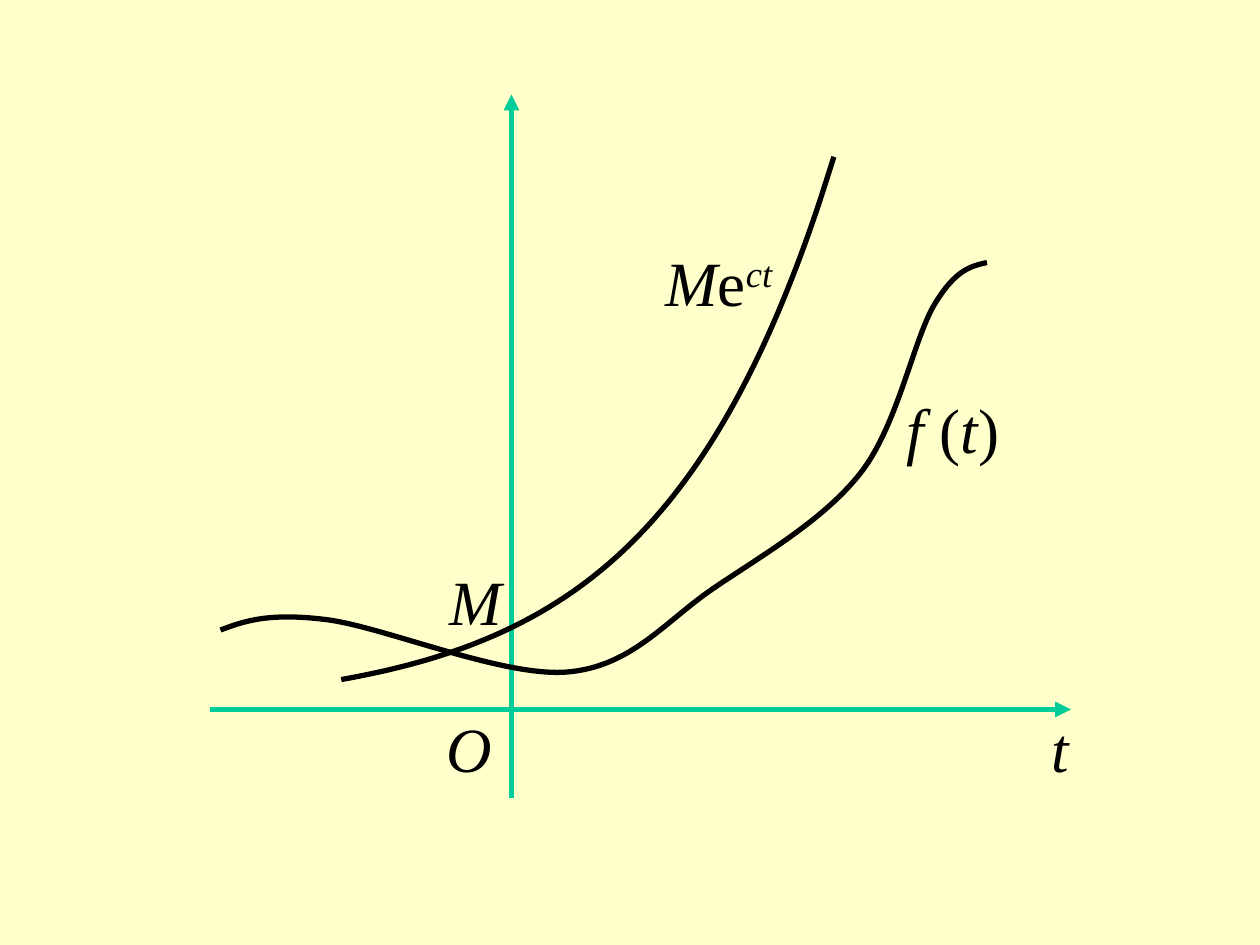
from math import exp

from lxml import etree
from pptx import Presentation, util as u
from pptx.dml.color import RGBColor
from pptx.enum import shapes, text
from pptx.oxml import ns

Pt = u.Pt


def paint(code):
    return RGBColor.from_string(code)


class Graph:
    """Draws axes, curves and labels on one slide in a shared style."""

    face, size, ink, green, paper, width = "Times New Roman", 36, "000000", "00CC99", "FFFFCC", 3

    def __init__(self, slide):
        self.slide = slide
        fill = slide.background.fill
        fill.solid()
        fill.fore_color.rgb = paint(self.paper)

    def stroke(self, line, color):
        line.color.rgb = paint(color)
        line.width = Pt(self.width)

    def axis(self, start, end):
        line = self.slide.shapes.add_connector(
            shapes.MSO_CONNECTOR.STRAIGHT, *map(Pt, start + end))
        self.stroke(line.line, self.green)
        props = line._element.spPr
        etree.SubElement(props.find(ns.qn("a:ln")), ns.qn("a:tailEnd"), type="triangle")
        etree.SubElement(props, ns.qn("a:effectLst"))

    def curve(self, knots):
        first, *rest = [(Pt(x), Pt(y)) for x, y in knots]
        pen = self.slide.shapes.build_freeform(*first, scale=1.0)
        pen.add_line_segments(rest, close=False)
        shape = pen.convert_to_shape()
        shape.shadow.inherit = False
        shape.fill.background()
        self.stroke(shape.line, self.ink)
        parts = list(shape._element.iter(ns.qn("a:lnTo")))
        for part, pair in zip(parts, handles(knots)):
            part.tag = ns.qn("a:cubicBezTo")
            for i, (x, y) in enumerate(pair):
                part.insert(i, etree.Element(
                    ns.qn("a:pt"), x=str(Pt(x) - shape.left), y=str(Pt(y) - shape.top)))

    def label(self, left, top, width, *parts):
        box = self.slide.shapes.add_textbox(Pt(left), Pt(top), Pt(width), Pt(50.4))
        frame = box.text_frame
        frame.word_wrap = False
        frame.auto_size = text.MSO_AUTO_SIZE.SHAPE_TO_FIT_TEXT
        line = frame.paragraphs[0]
        line.alignment = text.PP_ALIGN.CENTER
        font = line.font
        font.name, font.size = self.face, Pt(self.size)
        font.color.rgb = paint(self.ink)
        for words, slant, raised in parts:
            run = line.add_run()
            run.text = words
            run.font.italic = slant
            if raised:
                run._r.get_or_add_rPr().set("baseline", "30000")


def growth(left, right, origin, height, rate, count=29):
    """Place knots on an exponential that crosses the upright axis at the given height."""
    step = (right - left) / count
    spots = [left + i * step for i in range(count + 1)]
    return [(x, origin[1] - height * exp(rate * (x - origin[0]))) for x in spots]


def middle(a, b):
    return tuple((p + q) / 2 for p, q in zip(a, b))


def handles(knots):
    """Pair the control points of each piece, with slopes set by the neighbouring knots."""
    slopes = [tuple((q - p) / 6 for p, q in zip(a, b)) for a, b in zip(knots, knots[2:])]
    ahead = [tuple(p + q for p, q in zip(k, s)) for k, s in zip(knots[1:], slopes)]
    back = [tuple(p - q for p, q in zip(k, s)) for k, s in zip(knots[1:], slopes)]
    ahead.insert(0, middle(knots[0], back[0]))
    back.append(middle(ahead[-1], knots[-1]))
    return list(zip(ahead, back))


def main():
    deck = Presentation()
    deck.slide_width, deck.slide_height = Pt(720), Pt(540)
    graph = Graph(deck.slides.add_slide(deck.slide_layouts[6]))
    origin = across, down = 292.25, 405.4

    graph.axis((across, 456), (across, 54))
    graph.axis((120, down), (612, down))
    graph.curve(growth(195, 476.5, origin, 46.8, 1 / 96.5))
    graph.curve([(126, 360), (186, 354), (324, 384), (408, 336),
                 (492, 270), (534, 174), (564, 150)])

    graph.label(250, 318, 44, ("M", True, False))
    graph.label(373, 135.5, 75.5, ("M", True, False), ("e", False, False), ("ct", True, True))
    graph.label(510.5, 219.5, 68, ("f ", True, False), ("(", False, False),
                ("t", True, False), (")", False, False))
    graph.label(593.5, 402, 24.5, ("t", True, False))
    graph.label(248, 402, 40.5, ("O", True, False))
    deck.save("out.pptx")


if __name__ == "__main__":
    main()
